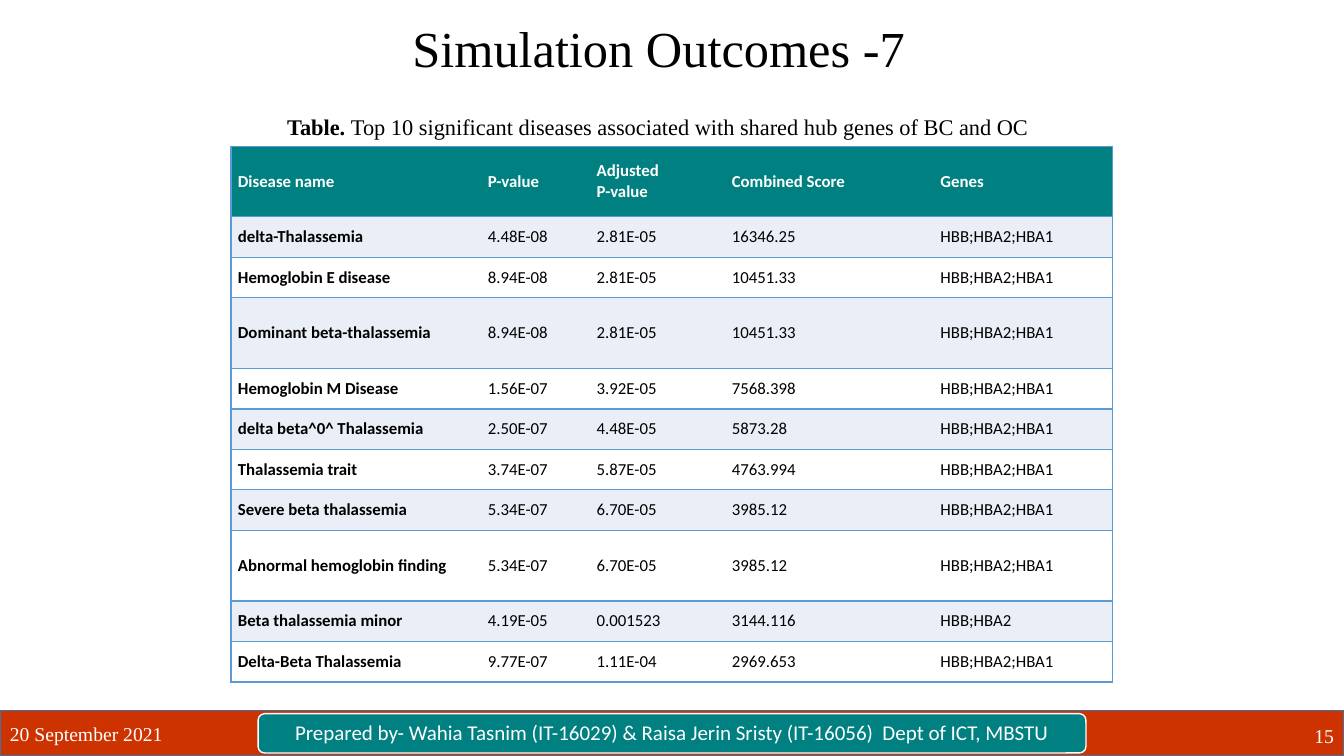
from dataclasses import dataclass

from lxml.etree import SubElement
from pptx import Presentation
from pptx.dml.color import RGBColor
from pptx.enum.shapes import MSO_SHAPE
from pptx.enum.text import MSO_ANCHOR, PP_ALIGN
from pptx.oxml.ns import qn
from pptx.util import Inches, Pt


@dataclass(frozen=True)
class Theme:
    serif: str = "Times New Roman"
    sans: str = "Calibri"
    black: str = "000000"
    white: str = "FFFFFF"
    teal: str = "008080"
    red: str = "CC3300"
    band: str = "EAEFF7"
    rule: str = "5B9BD5"
    edge: str = "43739E"
    title: int = 36
    caption: int = 16
    badge: int = 15
    footer: int = 14
    cell: int = 12


THEME = Theme()
WIDTH, HEIGHT = Inches(13.33), Inches(7.5)

COLUMN_SHARES = (18.6, 8.1, 10.05, 15.53, 13.35)
ROW_SHARE, TALL_ROW_SHARE = 5.35, 9.36
TALL_ROWS = (0, 3, 8)
DISEASES = (
    ("Disease name", "P-value", "Adjusted\nP-value", "Combined Score", "Genes"),
    ("delta-Thalassemia", "4.48E-08", "2.81E-05", "16346.25", "HBB;HBA2;HBA1"),
    ("Hemoglobin E disease", "8.94E-08", "2.81E-05", "10451.33", "HBB;HBA2;HBA1"),
    ("Dominant beta-thalassemia", "8.94E-08", "2.81E-05", "10451.33", "HBB;HBA2;HBA1"),
    ("Hemoglobin M Disease", "1.56E-07", "3.92E-05", "7568.398", "HBB;HBA2;HBA1"),
    ("delta beta^0^ Thalassemia", "2.50E-07", "4.48E-05", "5873.28", "HBB;HBA2;HBA1"),
    ("Thalassemia trait", "3.74E-07", "5.87E-05", "4763.994", "HBB;HBA2;HBA1"),
    ("Severe beta thalassemia", "5.34E-07", "6.70E-05", "3985.12", "HBB;HBA2;HBA1"),
    ("Abnormal hemoglobin finding", "5.34E-07", "6.70E-05", "3985.12", "HBB;HBA2;HBA1"),
    ("Beta thalassemia minor", "4.19E-05", "0.001523", "3144.116", "HBB;HBA2"),
    ("Delta-Beta Thalassemia", "9.77E-07", "1.11E-04", "2969.653", "HBB;HBA2;HBA1"),
)


def across(share):
    return round(WIDTH * share / 100)


def down(share):
    return round(HEIGHT * share / 100)


def area(left, top, width, height):
    return across(left), down(top), across(width), down(height)


def style_text(text_frame, face, size, color, align=PP_ALIGN.LEFT, bold=False):
    for paragraph in text_frame.paragraphs:
        paragraph.alignment = align
        for run in paragraph.runs:
            run.font.name = face
            run.font.size = Pt(size)
            run.font.bold = bold
            run.font.color.rgb = RGBColor.from_string(color)


def add_panel(slide, kind, place, fill, line):
    shape = slide.shapes.add_shape(kind, *place)
    shape.shadow.inherit = False
    shape.fill.solid()
    shape.fill.fore_color.rgb = RGBColor.from_string(fill)
    shape.line.color.rgb = RGBColor.from_string(line)
    shape.line.width = Pt(1)
    return shape


def add_label(slide, place, text, size, color, align=PP_ALIGN.LEFT):
    text_frame = slide.shapes.add_textbox(*place).text_frame
    text_frame.word_wrap = True
    text_frame.vertical_anchor = MSO_ANCHOR.MIDDLE
    text_frame.text = text
    style_text(text_frame, THEME.serif, size, color, align)
    return text_frame


def add_title(slide, text):
    title = slide.shapes.title
    title.left, title.top, title.width, title.height = area(29.93, 2.93, 58.9, 8.13)
    text_frame = title.text_frame
    text_frame.text = text
    text_frame.vertical_anchor = MSO_ANCHOR.BOTTOM
    text_frame.paragraphs[0].line_spacing = 0.9
    style_text(text_frame, THEME.serif, THEME.title, THEME.black)


def add_caption(slide, lead, text):
    place = area(20.63, 14.13, 61.14, 5.33)
    text_frame = add_label(slide, place, lead, THEME.caption, THEME.black)
    text_frame.paragraphs[0].add_run().text = text
    style_text(text_frame, THEME.serif, THEME.caption, THEME.black)
    text_frame.paragraphs[0].runs[0].font.bold = True


def set_borders(cell, ruled_sides):
    properties = cell._tc.get_or_add_tcPr()
    for side in ("L", "R", "T", "B"):
        line = SubElement(properties, qn(f"a:ln{side}"), w=str(Pt(1)))
        if side in ruled_sides:
            fill = SubElement(line, qn("a:solidFill"))
            SubElement(fill, qn("a:srgbClr"), val=THEME.rule)
        else:
            SubElement(line, qn("a:noFill"))


def fill_cell(cell, text, row, column):
    header = row == 0
    outer = {0: "L", len(COLUMN_SHARES) - 1: "R"}.get(column, "")
    set_borders(cell, "TB" + outer)
    cell.fill.solid()
    color = THEME.teal if header else THEME.band if row % 2 else THEME.white
    cell.fill.fore_color.rgb = RGBColor.from_string(color)
    cell.vertical_anchor = MSO_ANCHOR.MIDDLE
    cell.margin_left = cell.margin_right = Inches(0.07)
    cell.margin_top = cell.margin_bottom = 0
    cell.text_frame.text = text
    style_text(cell.text_frame, THEME.sans, THEME.cell,
               THEME.white if header else THEME.black,
               PP_ALIGN.JUSTIFY, header or column == 0)


def add_disease_table(slide):
    row_shares = [TALL_ROW_SHARE if row in TALL_ROWS else ROW_SHARE
                  for row in range(len(DISEASES))]
    place = area(17.18, 19.33, sum(COLUMN_SHARES), sum(row_shares))
    table = slide.shapes.add_table(len(DISEASES), len(COLUMN_SHARES), *place).table
    table.horz_banding = False
    for column, share in zip(table.columns, COLUMN_SHARES):
        column.width = across(share)
    for row, share in zip(table.rows, row_shares):
        row.height = down(share)
    for row, values in enumerate(DISEASES):
        for column, text in enumerate(values):
            fill_cell(table.cell(row, column), text, row, column)


def add_footer(slide, date, credit, number):
    add_panel(slide, MSO_SHAPE.RECTANGLE, area(0, 94, 100, 6), THEME.red, THEME.edge)
    add_label(slide, area(0, 94.4, 22.5, 5.33), date, THEME.footer, THEME.white)
    badge = add_panel(slide, MSO_SHAPE.ROUNDED_RECTANGLE,
                      area(19.2, 94.4, 61.6, 5.2), THEME.teal, THEME.white)
    text_frame = badge.text_frame
    text_frame.word_wrap = True
    text_frame.margin_top = text_frame.margin_bottom = 0
    text_frame.vertical_anchor = MSO_ANCHOR.MIDDLE
    text_frame.text = credit
    text_frame.paragraphs[0].line_spacing = 0.9
    style_text(text_frame, THEME.sans, THEME.badge, THEME.white, PP_ALIGN.CENTER)
    add_label(slide, area(77.5, 94.67, 22.5, 5.33), number, THEME.footer,
              THEME.white, PP_ALIGN.RIGHT)


def main():
    presentation = Presentation()
    presentation.slide_width, presentation.slide_height = WIDTH, HEIGHT
    slide = presentation.slides.add_slide(presentation.slide_layouts[5])
    add_footer(slide, "20 September 2021",
               "Prepared by- Wahia Tasnim (IT-16029) & Raisa Jerin Sristy (IT-16056)"
               "  Dept of ICT, MBSTU", "15")
    add_title(slide, "Simulation Outcomes -7")
    add_disease_table(slide)
    add_caption(slide, "Table. ",
                "Top 10 significant diseases associated with shared hub genes of BC and OC")
    presentation.save("out.pptx")


if __name__ == "__main__":
    main()
